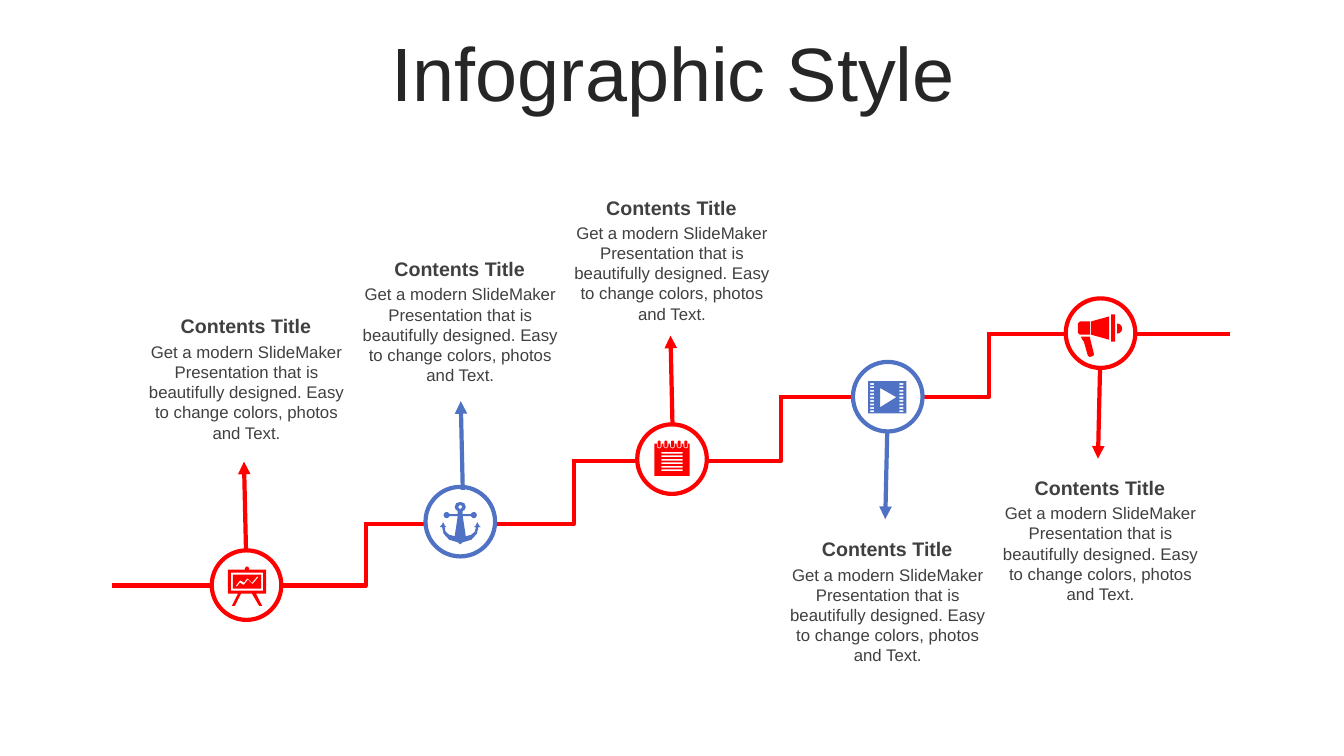
from math import cos, pi, sin

from lxml import etree
from pptx import Presentation
from pptx.dml.color import RGBColor
from pptx.enum.shapes import MSO_CONNECTOR, MSO_SHAPE
from pptx.enum.text import MSO_ANCHOR, PP_ALIGN
from pptx.oxml.ns import qn
from pptx.util import Pt

PX = 9144
ICON_UNIT = PX / 10
STRAIGHT = MSO_CONNECTOR.STRAIGHT
OVAL = MSO_SHAPE.OVAL
TOP, MIDDLE = MSO_ANCHOR.TOP, MSO_ANCHOR.MIDDLE
CENTER = PP_ALIGN.CENTER
COLORS = {"red": "FF0000", "blue": "5072C4", "white": "FFFFFF",
          "title": "262626", "text": "404040"}
BODY = ("Get a modern SlideMaker Presentation that is beautifully designed. "
        "Easy to change colors, photos and Text.")
TREADS = [581, 520, 457, 394, 331]
FIRST_RISER, RISER_GAP = 363, 206
CIRCLE = 69
ARROW_LENGTH = 88


def rgb(name):
    """Return the palette colour with this name."""
    return RGBColor.from_string(COLORS[name])


def add_text(slide, box, text, size, color="text", bold=False, anchor=TOP,
             side_inset=10, spacing=None):
    """Place one centred paragraph in a box."""
    textbox = slide.shapes.add_textbox(*(v * PX for v in box))
    frame = textbox.text_frame
    frame.word_wrap = True
    frame.vertical_anchor = anchor
    frame.margin_left = frame.margin_right = side_inset * PX
    paragraph = frame.paragraphs[0]
    paragraph.alignment = CENTER
    if spacing:
        paragraph.line_spacing = spacing
    run = paragraph.add_run()
    run.text = text
    run.font.name = "Arial"
    run.font.size = Pt(size)
    run.font.bold = bold
    run.font.color.rgb = rgb(color)


def add_line(slide, start, end, color, arrow=False):
    """Draw a straight line, with an arrowhead at its end if asked."""
    line = slide.shapes.add_connector(
        STRAIGHT, *(v * PX for v in (*start, *end)))
    line.line.color.rgb = rgb(color)
    line.line.width = Pt(3)
    if arrow:
        etree.SubElement(line.line._get_or_add_ln(), qn("a:tailEnd"),
                         type="triangle")
    etree.SubElement(line._element.spPr, qn("a:effectLst"))


def add_outline(slide, origin, contours, scale, closed=True):
    """Build one freeform from contours placed relative to an origin."""
    builder = slide.shapes.build_freeform(*contours[0][0], scale=scale)
    for index, contour in enumerate(contours):
        if index:
            builder.move_to(*contour[0])
        builder.add_line_segments(contour[1:], close=closed)
    outline = builder.convert_to_shape(*(v * PX for v in origin))
    outline.shadow.inherit = False
    return outline


def rect(left, top, right, bottom):
    """Return the corners of a rectangle."""
    return [(left, top), (right, top), (right, bottom), (left, bottom)]


def arc(x, y, radius, start, end, steps=12):
    """Return points on an arc, with angles in half turns."""
    angles = [pi * (start + (end - start) * i / steps)
              for i in range(steps + 1)]
    return [(round(x + radius * cos(a)), round(y + radius * sin(a)))
            for a in angles]


def board_icon():
    """Return the contours of the presentation board."""
    stand = [(170, 30), (170, 20), (180, 0), (200, 0), (210, 20), (210, 30),
             (380, 30), (380, 270), (280, 270), (340, 390), (310, 390),
             (240, 270), (130, 270), (70, 390), (40, 390), (100, 270),
             (0, 270), (0, 30)]
    trend = [(300, 100), (290, 100), (240, 160), (200, 120), (190, 120),
             (160, 160), (130, 140), (120, 140), (80, 190), (90, 200),
             (120, 160), (150, 180), (160, 180), (200, 130), (240, 170),
             (250, 170), (300, 110)]
    return [stand, rect(30, 60, 350, 240), rect(50, 80, 330, 220), trend]


def anchor_icon():
    """Return the contours of the anchor, mirrored about its shank."""
    half = [(0, 0), (40, 12), (55, 50), (45, 75), (25, 90), (25, 120),
            (105, 120), *arc(135, 130, 30, -0.8, 0.8), (105, 140), (25, 140),
            (55, 340), (110, 325), (145, 295), (155, 250), (135, 250),
            (155, 230), (170, 200), (185, 230), (205, 250), (180, 250),
            (165, 315), (110, 375), (25, 400), (0, 420)]
    right = [(205 + x, y) for x, y in half]
    left = [(205 - x, y) for x, y in reversed(half[1:-1])]
    return [right + left, arc(205, 50, 18, 0, 2)]


def notepad_icon():
    """Return the contours of the notepad."""
    page, rings = [(0, 30)], []
    for x in range(48, 313, 66):
        page += [(x - 24, 30), *arc(x, 54, 24, 1, 0), (x + 24, 30)]
        rings.append(arc(x, 15, 15, 1, 2) + arc(x, 55, 15, 0, 1))
    page += [(350, 30), (350, 350), (0, 350)]
    rows = [rect(70, y, 280, y + 18) for y in range(112, 288, 35)]
    return [page, *rows, *rings]


def film_icon():
    """Return the contours of the film frame."""
    holes = [rect(x, y, x + 40, y + 18)
             for y in range(20, 293, 34) for x in (20, 310)]
    return [rect(0, 0, 380, 320), [(120, 70), (120, 260), (280, 160)], *holes]


def megaphone_icon():
    """Return the contours of the megaphone."""
    handle = [(30, 220), (120, 220), (125, 250), (160, 390), (155, 410),
              (120, 422), (100, 410), (60, 270), (45, 250)]
    grip = [(20, 70), (120, 70), (120, 200), (20, 200), (0, 180), (0, 90)]
    horn = [(310, 20), (310, 250), (130, 200), (130, 70)]
    return [handle, grip, horn, rect(330, 0, 370, 270),
            arc(390, 140, 50, -0.5, 0.5)]


STATIONS = [
    ("red", (210, 546), (134, 307), (244, 546), (226, 562), -1, board_icon),
    ("blue", (422, 483), (346, 250), (459, 486), (436, 498), -1, anchor_icon),
    ("red", (632, 421), (556, 189), (667, 421), (649, 437), -1, notepad_icon),
    ("blue", (846, 359), (770, 528), (880, 427), (861, 378), 1, film_icon),
    ("red", (1057, 296), (981, 467), (1091, 367), (1069, 312), 1,
     megaphone_icon),
]


def add_staircase(slide, left, right):
    """Draw the rising steps between two sides."""
    start = left
    for index, (tread, next_tread) in enumerate(zip(TREADS, TREADS[1:])):
        riser = FIRST_RISER + RISER_GAP * index
        step = add_outline(slide, (0, 0), [[(start, tread), (riser, tread),
                                           (riser, next_tread - 2)]],
                           PX, closed=False)
        step.fill.background()
        step.line.color.rgb = rgb("red")
        step.line.width = Pt(3)
        start = riser - 1
    add_line(slide, (start, TREADS[-1]), (right, TREADS[-1]), "red")


def add_station(slide, color, circle_at, text_at, arrow_at, icon_at,
                direction, icon):
    """Place a circle with its icon, arrow and text."""
    circle = slide.shapes.add_shape(
        OVAL, *(v * PX for v in (*circle_at, CIRCLE, CIRCLE)))
    circle.shadow.inherit = False
    circle.fill.solid()
    circle.fill.fore_color.rgb = rgb("white")
    circle.line.color.rgb = rgb(color)
    circle.line.width = Pt(3)
    x, y = text_at
    add_text(slide, (x + 1, y + 27, 219, 111), BODY, 12)
    add_text(slide, (x, y, 220, 34), "Contents Title", 14, bold=True,
             side_inset=12)
    drawing = add_outline(slide, icon_at, icon(), ICON_UNIT)
    drawing.fill.solid()
    drawing.fill.fore_color.rgb = rgb(color)
    drawing.line.fill.background()
    tip = (arrow_at[0] - 2, arrow_at[1] + direction * ARROW_LENGTH)
    add_line(slide, arrow_at, tip, color, arrow=True)


def main():
    """Build and save the slide."""
    deck = Presentation()
    deck.slide_width, deck.slide_height = 1333 * PX, 750 * PX
    slide = deck.slides.add_slide(deck.slide_layouts[6])
    add_text(slide, (35, 37, 1266, 79), "Infographic Style", 54, "title",
             anchor=MIDDLE, spacing=0.9)
    add_staircase(slide, 111, 1220)
    for station in STATIONS:
        add_station(slide, *station)
    deck.save("out.pptx")


if __name__ == "__main__":
    main()
